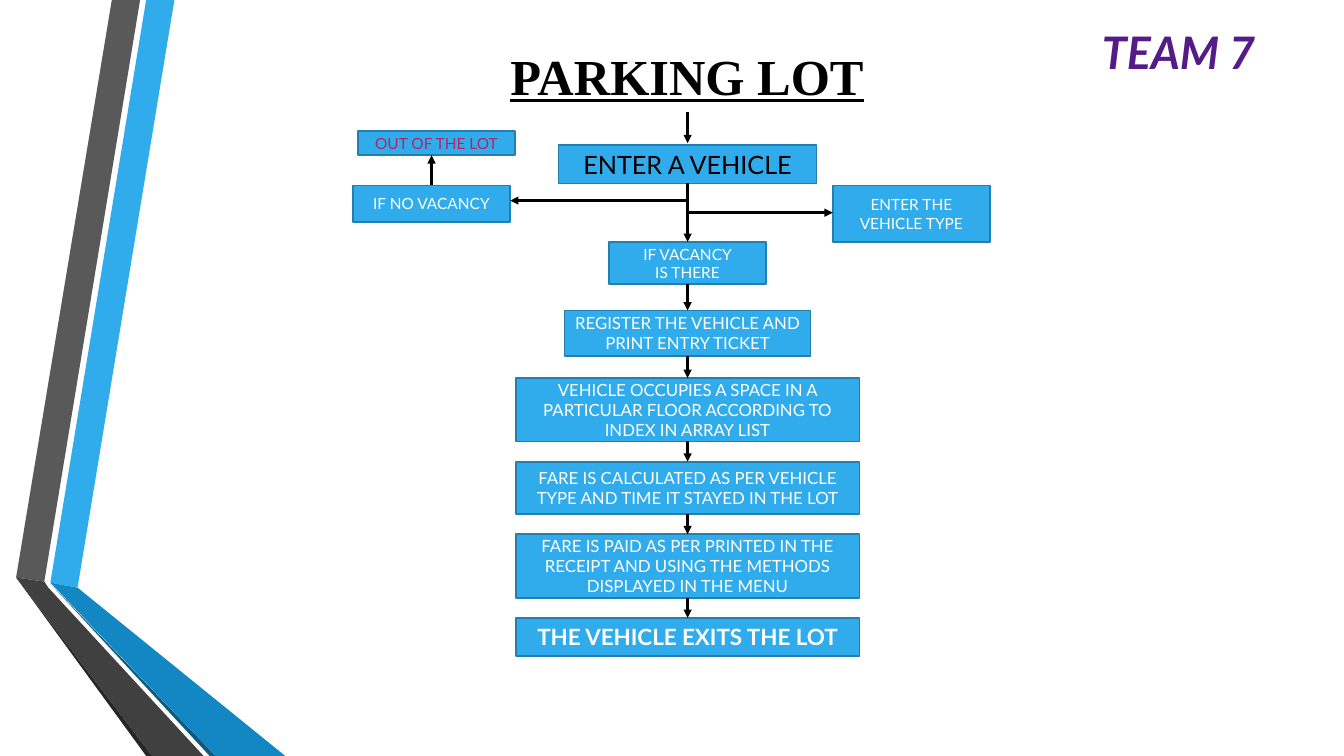
from itertools import pairwise

from lxml import etree
from pptx import Presentation
from pptx.dml.color import RGBColor
from pptx.enum.shapes import MSO_CONNECTOR, MSO_SHAPE
from pptx.enum.text import MSO_ANCHOR, PP_ALIGN
from pptx.oxml.ns import qn
from pptx.util import Inches, Pt

STRAIGHT = MSO_CONNECTOR.STRAIGHT
RECTANGLE = MSO_SHAPE.RECTANGLE
MIDDLE = MSO_ANCHOR.MIDDLE
CENTER, LEFT = PP_ALIGN.CENTER, PP_ALIGN.LEFT

TITLE_ONLY = 5
AXIS = 6.82
COLORS = {
    "black": "000000", "white": "FFFFFF", "purple": "541B89", "crimson": "AF2764",
    "sky": "30ACEC", "edge": "247FAF", "ocean": "1287C3", "navy": "0C5A82",
    "gray": "595959", "charcoal": "404040", "soot": "262626",
}

# Ribbon facets at the left edge: colour and corner points, back to front
RIBBONS = [
    ("sky", [(0.5, 5.78), (0.77, 5.83), (1.73, 0), (1.45, 0)]),
    ("gray", [(1.39, 0), (1.11, 0), (0.16, 5.73), (0.44, 5.77)]),
    ("soot", [(0.16, 5.73), (1.45, 7.5), (1.51, 7.5)]),
    ("navy", [(0.5, 5.79), (2.08, 7.5), (2.14, 7.5)]),
    ("ocean", [(0.5, 5.78), (2.14, 7.5), (2.83, 7.5), (0.77, 5.83)]),
    ("charcoal", [(2.02, 7.5), (0.48, 5.83), (0.44, 5.77), (0.16, 5.73), (1.51, 7.5)]),
]

# Main flow, centred on AXIS: text, top, width, height, text format
STEPS = [
    ("ENTER A VEHICLE", 1.44, 2.56, 0.38, {"size": 18, "color": "black"}),
    ("IF VACANCY\nIS THERE", 2.4, 1.56, 0.42, {"size": 11}),
    ("REGISTER THE VEHICLE AND PRINT ENTRY TICKET", 3.08, 2.44, 0.45, {}),
    ("VEHICLE OCCUPIES A SPACE IN A PARTICULAR FLOOR ACCORDING TO INDEX IN ARRAY LIST",
     3.75, 3.41, 0.63, {}),
    ("FARE IS CALCULATED AS PER VEHICLE TYPE AND TIME IT STAYED IN THE LOT",
     4.58, 3.41, 0.52, {}),
    ("FARE IS PAID AS PER PRINTED IN THE RECEIPT AND USING THE METHODS DISPLAYED IN THE MENU",
     5.3, 3.41, 0.63, {}),
    ("THE VEHICLE EXITS THE LOT", 6.13, 3.41, 0.38, {"size": 16, "bold": True}),
]

# Side branches: text, left, top, height, text colour
BRANCHES = [
    ("OUT OF THE LOT", 3.55, 1.3, 0.24, "crimson"),
    ("IF NO VACANCY", 3.5, 1.84, 0.36, "white"),
    ("ENTER THE VEHICLE TYPE", 8.26, 1.84, 0.56, "white"),
]
BRANCH_WIDTH = 1.56
BRANCH_ARROWS = [
    ((AXIS, 1.99), (5.06, 1.99)),
    ((4.28, 1.84), (4.28, 1.54)),
    ((AXIS, 2.11), (8.26, 2.11)),
]


def rgb(color):
    """Return the named colour."""
    return RGBColor.from_string(COLORS[color])


def write(frame, text, size=12, color="white", font="Lato", align=CENTER,
          anchor=MIDDLE, bold=False, italic=False, underline=False):
    """Fill a text frame, one paragraph per line of text."""
    frame.word_wrap = True
    frame.vertical_anchor = anchor
    frame.text = text
    for paragraph in frame.paragraphs:
        paragraph.alignment = align
        for run in paragraph.runs:
            run.font.name, run.font.size = font, Pt(size)
            run.font.color.rgb = rgb(color)
            run.font.bold, run.font.italic = bold, italic
            run.font.underline = underline


def add_ribbon(slide, color, corners):
    """Draw one flat facet of the ribbons."""
    points = [(Inches(x), Inches(y)) for x, y in corners]
    builder = slide.shapes.build_freeform(*points[0])
    builder.add_line_segments(points[1:], close=True)
    facet = builder.convert_to_shape()
    facet.shadow.inherit = False
    facet.fill.solid()
    facet.fill.fore_color.rgb = rgb(color)
    facet.line.fill.background()


def add_box(slide, text, left, top, width, height, **text_format):
    """Draw one flowchart box with its text."""
    box = slide.shapes.add_shape(
        RECTANGLE, Inches(left), Inches(top), Inches(width), Inches(height))
    box.shadow.inherit = False
    box.fill.solid()
    box.fill.fore_color.rgb = rgb("sky")
    box.line.color.rgb = rgb("edge")
    box.line.width = Pt(1.25)
    write(box.text_frame, text, **text_format)


def add_arrow(slide, start, end):
    """Draw a black arrow from start to end."""
    arrow = slide.shapes.add_connector(
        STRAIGHT, *(Inches(value) for value in (*start, *end)))
    arrow.line.color.rgb = rgb("black")
    arrow.line.width = Pt(1.75)
    etree.SubElement(arrow.line._get_or_add_ln(), qn("a:tailEnd"), type="triangle")
    etree.SubElement(arrow._element.spPr, qn("a:effectLst"))


def add_headings(slide):
    """Set the title and the team label."""
    title = slide.shapes.title
    title.left, title.top = Inches(1.22), Inches(0.38)
    title.width, title.height = Inches(11.19), Inches(0.73)
    write(title.text_frame, "PARKING LOT", size=36, color="black",
          font="Times New Roman", bold=True, underline=True)
    team = slide.shapes.add_textbox(
        Inches(10.83), Inches(0.2), Inches(2.2), Inches(0.64))
    write(team.text_frame, "TEAM 7", size=32, color="purple", align=LEFT,
          anchor=MSO_ANCHOR.TOP, bold=True, italic=True)


def add_main_flow(slide):
    """Stack the steps on the axis and join each to the next."""
    for text, top, width, height, text_format in STEPS:
        add_box(slide, text, AXIS - width / 2, top, width, height, **text_format)
    add_arrow(slide, (AXIS, 1.11), (AXIS, 1.42))
    for (_, top, _, height, _), (_, next_top, *_) in pairwise(STEPS):
        add_arrow(slide, (AXIS, top + height), (AXIS, next_top))


def add_branches(slide):
    """Place the side boxes and their arrows."""
    for text, left, top, height, color in BRANCHES:
        add_box(slide, text, left, top, BRANCH_WIDTH, height, size=11, color=color)
    for start, end in BRANCH_ARROWS:
        add_arrow(slide, start, end)


def main():
    """Build and save the parking lot flowchart."""
    deck = Presentation()
    deck.slide_width, deck.slide_height = Inches(13.33), Inches(7.5)
    slide = deck.slides.add_slide(deck.slide_layouts[TITLE_ONLY])
    for color, corners in RIBBONS:
        add_ribbon(slide, color, corners)
    add_headings(slide)
    add_main_flow(slide)
    add_branches(slide)
    deck.save("out.pptx")


main()
